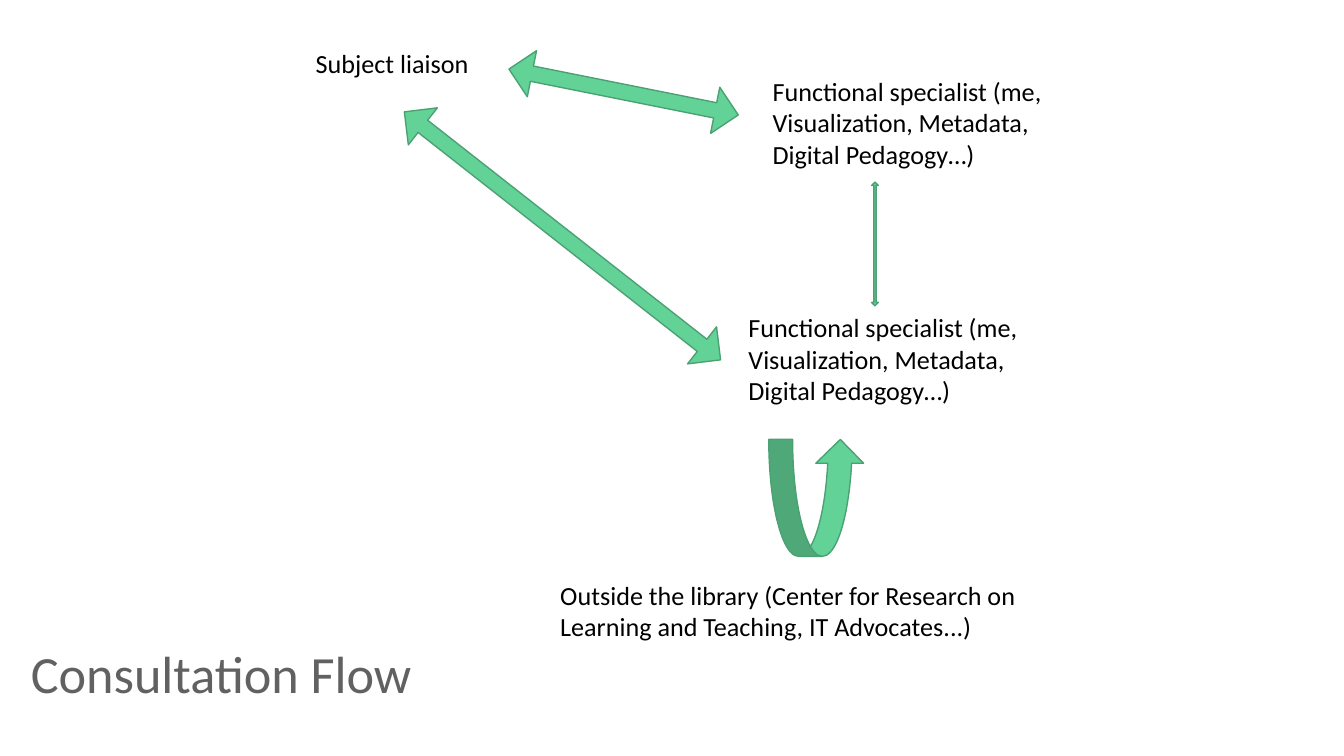
from pptx import Presentation
from pptx.dml.color import RGBColor
from pptx.enum.shapes import MSO_SHAPE as Preset
from pptx.enum.text import MSO_ANCHOR as Anchor, MSO_AUTO_SIZE as AutoSize, PP_ALIGN as Align
from pptx.util import Inches, Pt


def color(hex_string):
    return RGBColor.from_string(hex_string)


def write(shape, text, size, hex_string):
    frame = shape.text_frame
    frame.word_wrap = True
    frame.auto_size = AutoSize.NONE
    frame.vertical_anchor = Anchor.TOP
    frame.margin_left = frame.margin_right = Inches(0.1)
    frame.margin_top = frame.margin_bottom = Inches(0.1)
    paragraph = frame.paragraphs[0]
    paragraph.alignment = Align.LEFT
    run = paragraph.add_run()
    run.text = text
    run.font.name = "Calibri"
    run.font.size = Pt(size)
    run.font.color.rgb = color(hex_string)


presentation = Presentation()
presentation.slide_width = Inches(10)
presentation.slide_height = Inches(10) * 9 // 16
slide = presentation.slides.add_slide(presentation.slide_layouts[5])

title = slide.shapes.title
title.left, title.top = Inches(0.13), Inches(4.67)
title.width, title.height = Inches(4.24), Inches(0.63)
write(title, "Consultation Flow", 28, "616161")

flow = slide.shapes.add_group_shape()

straight = (0.33, 0.5)
curved = (0.25, 0.5, 0.25)
arrows = [
    (Preset.LEFT_RIGHT_ARROW, straight, 2.69, 1.58, 2.99, 0.35, 38.1),
    (Preset.CURVED_UP_ARROW, curved, 5.72, 3.27, 0.71, 0.87, 0),
    (Preset.LEFT_RIGHT_ARROW, straight, 6.05, 1.79, 0.92, 0.05, 90),
    (Preset.LEFT_RIGHT_ARROW, straight, 3.77, 0.51, 1.74, 0.35, 11.3),
]
for preset, adjustments, left, top, width, height, rotation in arrows:
    arrow = flow.shapes.add_shape(
        preset, Inches(left), Inches(top), Inches(width), Inches(height))
    for index, value in enumerate(adjustments):
        arrow.adjustments[index] = value
    arrow.rotation = rotation
    arrow.shadow.inherit = False
    arrow.fill.solid()
    arrow.fill.fore_color.rgb = color("63D297")
    arrow.line.color.rgb = color("4BA173")
    arrow.line.width = Pt(0.75)

specialist = "Functional specialist (me, Visualization, Metadata, Digital Pedagogy…)"
outside = "Outside the library (Center for Research on Learning and Teaching, IT Advocates...)"
labels = [
    (outside, 4.07, 4.21, 3.99, 0.7),
    (specialist, 5.47, 2.22, 2.59, 0.7),
    (specialist, 5.65, 0.46, 2.59, 0.7),
    ("Subject liaison", 2.25, 0.25, 1.74, 0.45),
]
for text, left, top, width, height in labels:
    label = flow.shapes.add_textbox(
        Inches(left), Inches(top), Inches(width), Inches(height))
    write(label, text, 14, "000000")

presentation.save("out.pptx")
